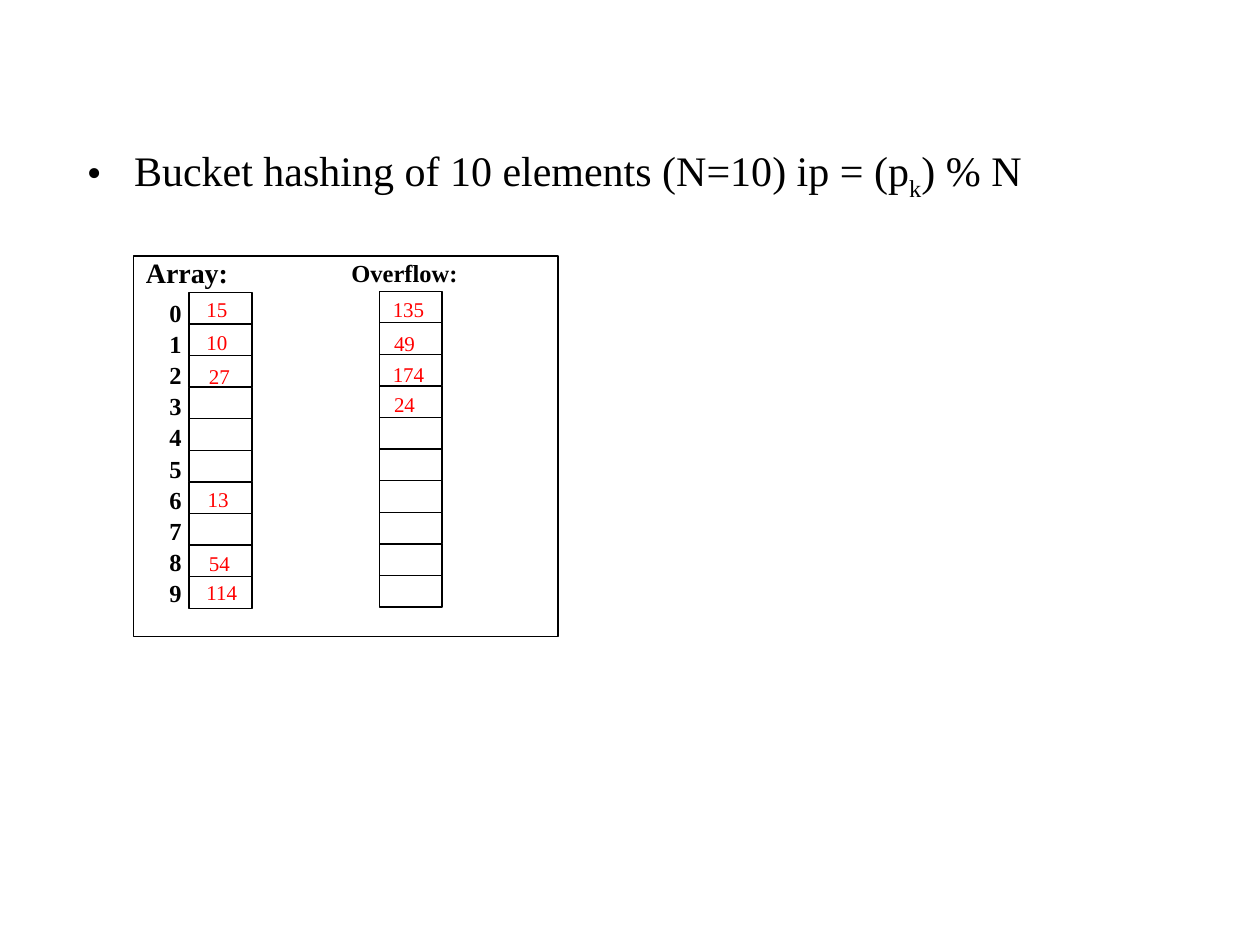
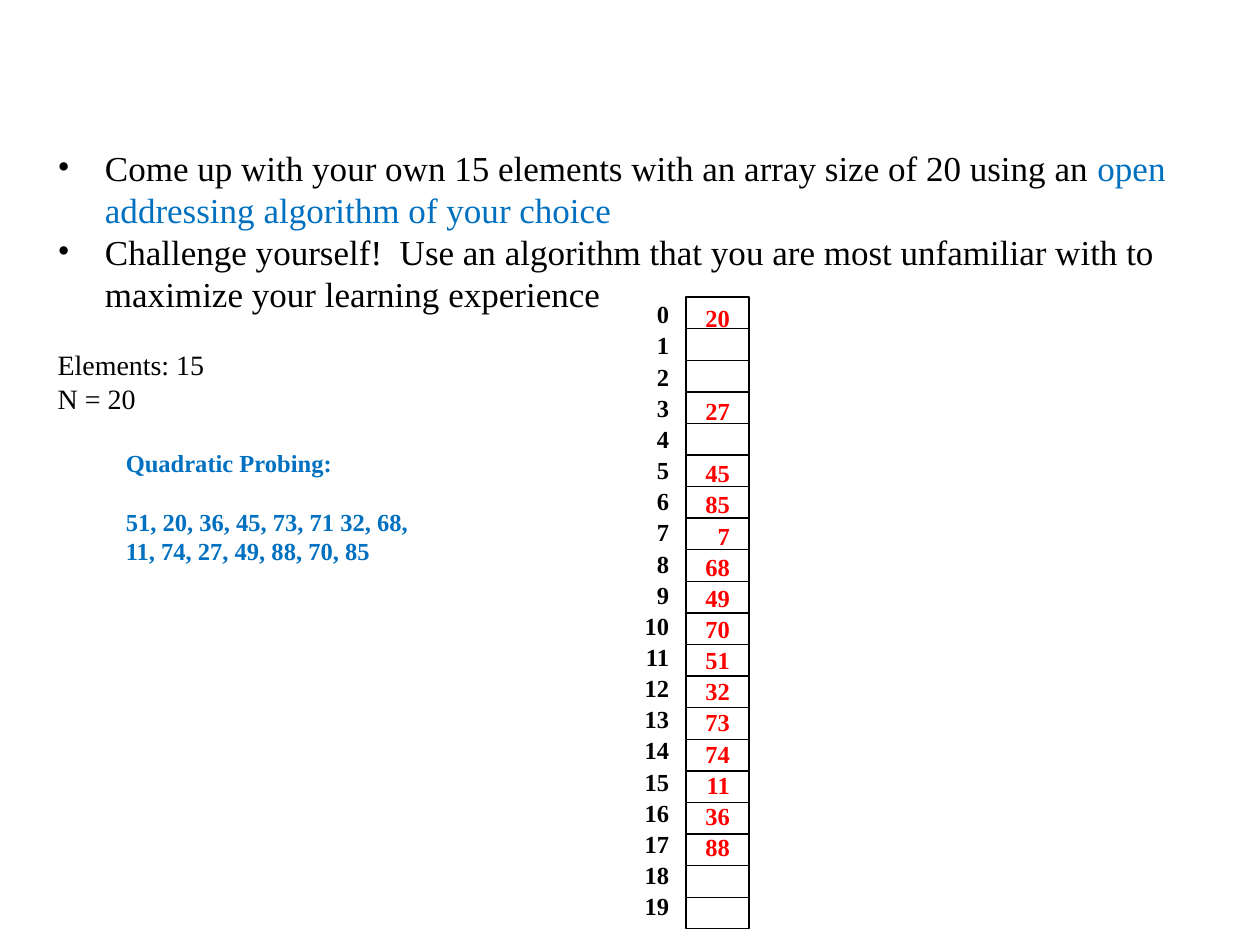
from pptx import Presentation
from pptx.util import Pt
from pptx.dml.color import RGBColor as Rgb
from pptx.enum.shapes import MSO_SHAPE as Kind
from pptx.enum.text import MSO_ANCHOR as Anchor, PP_ALIGN as Align
from pptx.oxml.xmlchemy import OxmlElement as Node

FONT = "Times New Roman"
BLACK, WHITE, RED, BLUE = "000000", "FFFFFF", "FF0000", "0070C0"
CELL_W, CELL_H, STEP = 36, 18, 18.05
LINE, GAP = 17.8, 1


def paint(color, hue):
    color.rgb = Rgb.from_string(hue)


def add_run(para, text, size, hue=BLACK, bold=False, base=0):
    run = para.add_run()
    run.text = text
    font = run.font
    font.name, font.size, font.bold = FONT, Pt(size), bold
    paint(font.color, hue)
    if base:
        font._element.set("baseline", str(base * 1000))


def add_para(frame, first=False):
    para = frame.paragraphs[0] if first else frame.add_paragraph()
    para.alignment = Align.LEFT
    return para


def add_bullet(para, indent=27):
    props = para._p.get_or_add_pPr()
    props.set("marL", str(Pt(indent)))
    props.set("indent", str(-Pt(indent)))
    for tag, key, value in [("a:buFont", "typeface", FONT),
                            ("a:buChar", "char", "•")]:
        mark = Node(tag)
        mark.set(key, value)
        props.append(mark)


def add_box(shapes, x, y, w, h, wrap=True):
    frame = shapes.add_textbox(Pt(x), Pt(y), Pt(w), Pt(h)).text_frame
    frame.word_wrap = wrap
    return frame


def add_label(shapes, x, y, w, h, text, size, hue=BLACK, bold=False):
    frame = add_box(shapes, x, y, w, h)
    add_run(add_para(frame, True), text, size, hue, bold)
    return frame


def add_rect(shapes, x, y, w, h):
    rect = shapes.add_shape(Kind.RECTANGLE, Pt(x), Pt(y), Pt(w), Pt(h))
    rect.shadow.inherit = False
    rect.fill.solid()
    paint(rect.fill.fore_color, WHITE)
    paint(rect.line.color, BLACK)
    rect.line.width = Pt(0.75)
    return rect


def add_cells(slide, x, y, count):
    group = slide.shapes.add_group_shape()
    for row in range(count):
        add_rect(group.shapes, x, y + row * STEP, CELL_W, CELL_H)


def add_column(slide, x, y, w, items, hue=BLACK):
    height = 7.2 + LINE * (items[-1][0] + 1)
    frame = add_box(slide.shapes, x, y, w, height, False)
    last = -1
    for row, text in items:
        para = add_para(frame, last < 0)
        para.alignment = Align.RIGHT
        para.space_after = Pt(GAP)
        para.space_before = Pt(LINE * (row - last - 1))
        add_run(para, text, 14, hue, True)
        last = row


def count_rows(count):
    return [(row, str(row)) for row in range(count)]


def add_values(slide, x, y, values):
    for text, left, top, width in values:
        add_label(slide.shapes, x + left, y + top, width, 21.6, text, 12, RED)


def bucket_panel(slide, x, y, w, h):
    panel = add_rect(slide.shapes, x, y, w, h)
    frame = panel.text_frame
    frame.margin_top = frame.margin_bottom = 0
    frame.vertical_anchor = Anchor.TOP
    add_run(add_para(frame, True), "Array:", 16, bold=True)
    add_cells(slide, x + 31.7, y + 20.9, 10)
    add_column(slide, x + 13, y + 20.4, 21.6, count_rows(10))
    add_values(slide, x, y, [
        ("13", 35.3, 128.2, 131.8), ("27", 36, 58.3, 360),
        ("15", 34.6, 19.6, 154.1), ("54", 36, 164.9, 360),
        ("10", 34.6, 38.6, 360), ("114", 34.6, 181.4, 360)])
    add_cells(slide, x + 140.4, y + 20.2, 10)
    add_label(slide.shapes, x + 117.4, y - 2.2, 84.2, 24.5,
              "Overflow:", 14, bold=True)
    add_values(slide, x, y, [
        ("24", 141.8, 74.2, 360), ("135", 141.1, 19.6, 360),
        ("174", 141.1, 56.9, 360), ("49", 141.8, 39.2, 360)])


def bucket_slide(deck):
    slide = deck.slides.add_slide(deck.slide_layouts[6])
    frame = add_box(slide.shapes, 42.5, 79.2, 649.4, 104.4)
    para = add_para(frame, True)
    add_bullet(para)
    add_run(para, "Bucket hashing of 10 elements (N=10) ip = (p", 24)
    add_run(para, "k", 24, base=-25)
    add_run(para, ") % N", 24)
    bucket_panel(slide, 76.3, 146.2, 242.6, 217.4)


def task_text(slide, x, y, w, h):
    frame = add_box(slide.shapes, x, y, w, h)
    tasks = [
        [("Come up with your own 15 elements with an array size of 20 "
          "using an ", BLACK),
         ("open addressing algorithm of your choice", BLUE)],
        [("Challenge yourself!  Use an algorithm that you are most "
          "unfamiliar with to maximize your learning experience", BLACK)]]
    for pos, runs in enumerate(tasks):
        para = add_para(frame, pos == 0)
        add_bullet(para)
        for text, hue in runs:
            add_run(para, text, 20, hue)
    for text, space in [("Elements: 15", 19.1), ("N = 20", 0)]:
        para = add_para(frame)
        para.space_before = Pt(space)
        add_run(para, text, 16)


def probe_table(slide, x, y):
    add_cells(slide, x, y, 20)
    add_column(slide, x - 31.3, y - 2.3, 28.8, count_rows(20))
    values = [20, None, None, 27, None, 45, 85, 7, 68, 49,
              70, 51, 32, 73, 74, 11, 36, 88]
    items = [(row, str(val)) for row, val in enumerate(values) if val]
    add_column(slide, x + 3.4, y - 0.5, 28.8, items, RED)


def probe_slide(deck):
    slide = deck.slides.add_slide(deck.slide_layouts[6])
    task_text(slide, 25.9, 79.9, 669.6, 220.3)
    probe_table(slide, 392, 169.8)
    frame = add_label(slide.shapes, 64.8, 252.7, 190.1, 74.9,
                      "Quadratic Probing:", 14, BLUE, True)
    para = add_para(frame)
    para.space_before = Pt(16.7)
    add_run(para, "51, 20, 36, 45, 73, 71 32, 68, 11, 74, 27, 49, 88, 70, 85",
            14, BLUE, True)


deck = Presentation()
deck.slide_width, deck.slide_height = Pt(720), Pt(540)
bucket_slide(deck)
probe_slide(deck)
deck.save("out.pptx")
